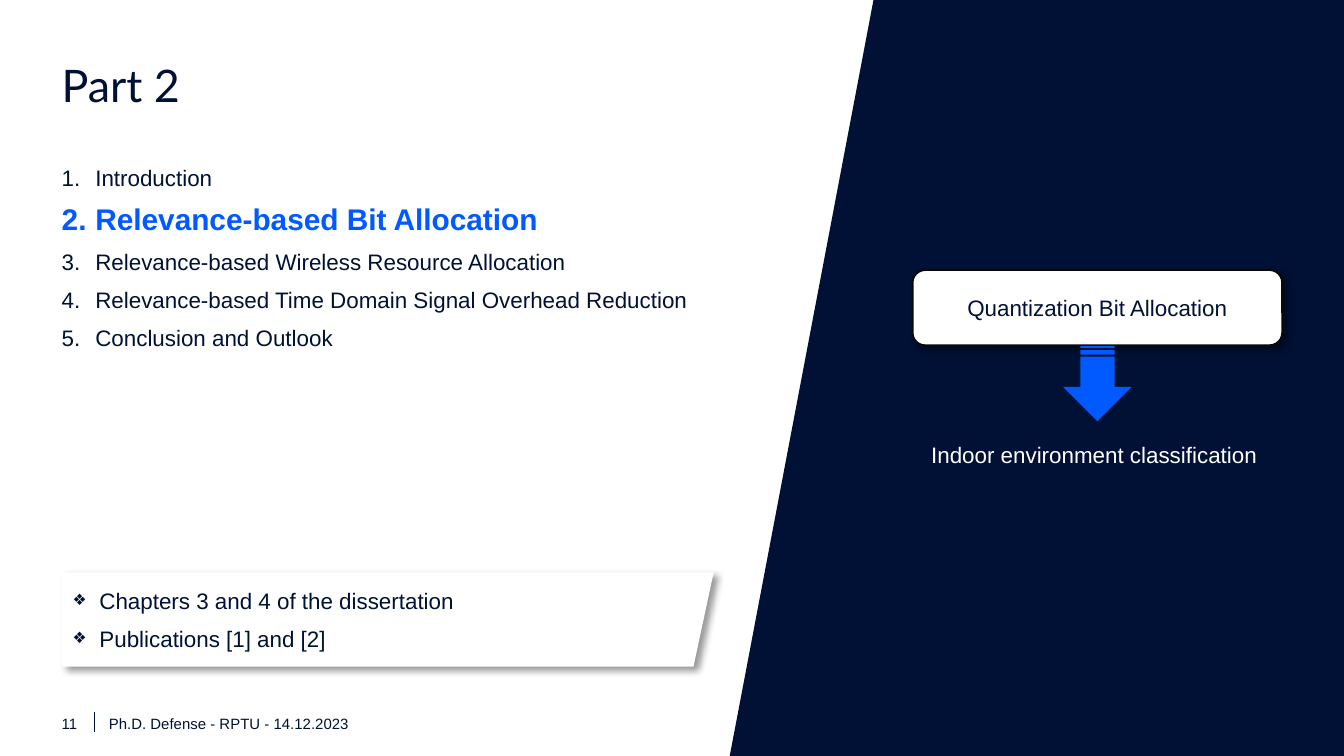
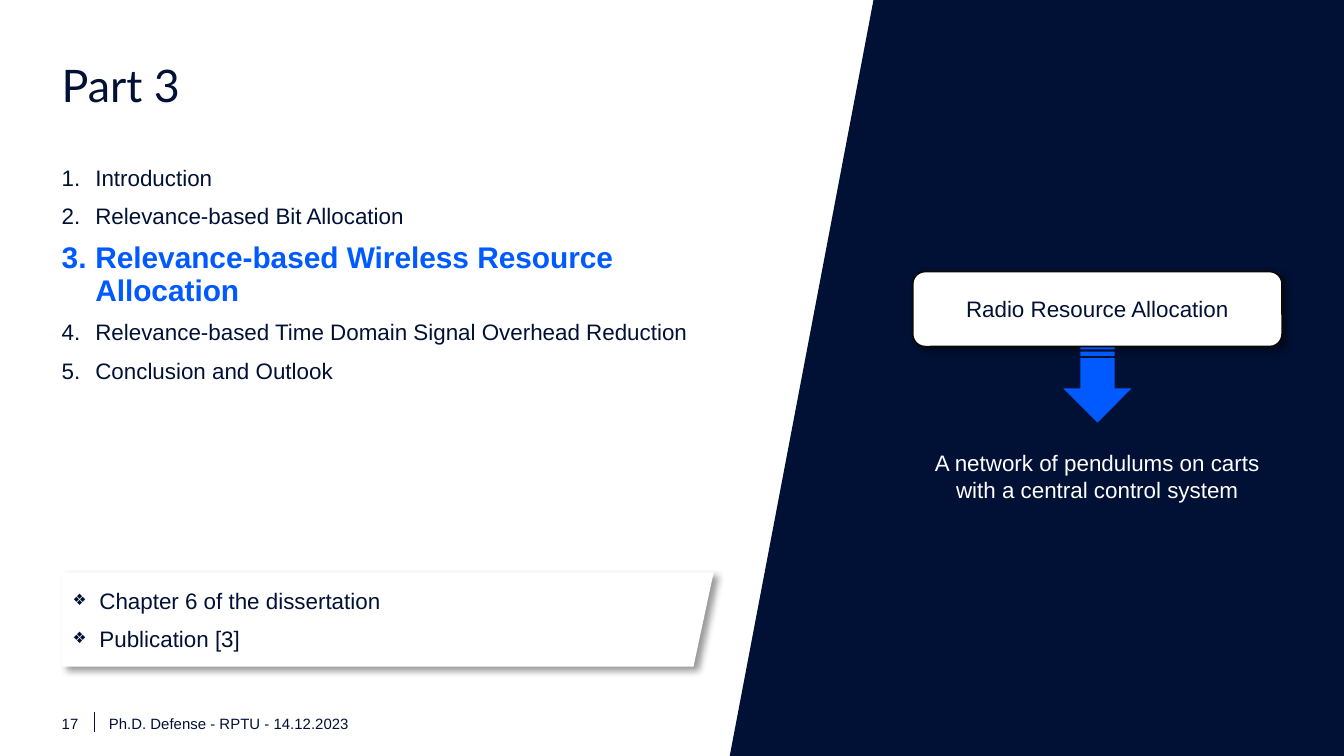
from lxml import etree
from pptx import Presentation
from pptx.dml.color import RGBColor
from pptx.enum.shapes import MSO_CONNECTOR, MSO_SHAPE
from pptx.enum.text import MSO_ANCHOR, PP_ALIGN
from pptx.oxml.ns import qn
from pptx.util import Inches, Pt

NAVY = RGBColor(0x00, 0x11, 0x35)
BLUE = RGBColor(0x00, 0x5A, 0xFF)
WHITE = RGBColor(0xFF, 0xFF, 0xFF)
OUTLINE = RGBColor(0x0A, 0x09, 0x08)
TOP, MIDDLE, BOTTOM = MSO_ANCHOR.TOP, MSO_ANCHOR.MIDDLE, MSO_ANCHOR.BOTTOM
LEFT, CENTER = PP_ALIGN.LEFT, PP_ALIGN.CENTER
ROUNDED, ARROW = MSO_SHAPE.ROUNDED_RECTANGLE, MSO_SHAPE.STRIPED_RIGHT_ARROW
STRAIGHT = MSO_CONNECTOR.STRAIGHT

FOOTER = "Ph.D. Defense - RPTU - 14.12.2023"
AGENDA = [
    "Introduction",
    "Relevance-based Bit Allocation",
    "Relevance-based Wireless Resource Allocation",
    "Relevance-based Time Domain Signal Overhead Reduction",
    "Conclusion and Outlook",
]
PARTS = [
    {"part": 2, "page": 11,
     "sources": ["Chapters 3 and 4 of the dissertation", "Publications [1] and [2]"],
     "method": "Quantization Bit Allocation", "method_top": 2.01,
     "use_case": "Indoor environment classification ", "use_case_height": 0.47},
    {"part": 3, "page": 17,
     "sources": ["Chapter 6 of the dissertation", "Publication [3]"],
     "method": "Radio Resource Allocation", "method_top": 2.02,
     "use_case": "A network of pendulums on carts with a central control system",
     "use_case_height": 0.79},
]

WIDTH = 10
HEIGHT = WIDTH * 9 / 16
MARGIN, BODY_WIDTH = 0.46, 5.07
PANEL = [(6.5, 0), (WIDTH, 0), (WIDTH, HEIGHT), (5.43, HEIGHT)]
SOURCES = [(MARGIN, 4.26), (5.31, 4.26), (5.16, 4.96), (MARGIN, 4.96)]
METHOD_LEFT, METHOD_WIDTH, METHOD_HEIGHT = 6.79, 2.75, 0.56
ARROW_WIDTH, ARROW_HEIGHT, ARROW_GAP = 0.56, 0.51, 0.03
USE_CASE_TOP = 3.15

BODY = {"size": Pt(12), "name": "Arial", "bold": False}
CURRENT = {**BODY, "size": Pt(16), "bold": True}
TITLE = {**BODY, "size": Pt(24), "name": "Lato"}
SMALL = {**BODY, "size": Pt(8)}


def add_paragraph(tf, text, font=BODY, color=NAVY, **layout):
    """Fill the empty first paragraph, or append one."""
    p = tf.paragraphs[0]
    if p.runs:
        p = tf.add_paragraph()
    for key, value in {"alignment": LEFT, **layout}.items():
        setattr(p, key, value)
    r = p.add_run()
    r.text = text
    for key, value in font.items():
        setattr(r.font, key, value)
    r.font.color.rgb = color
    return p


def set_bullet(p, indent, *marks):
    """Hang the paragraph and add bullet elements given as (tag, attributes)."""
    pPr = p._p.get_or_add_pPr()
    pPr.set("marL", str(Inches(indent)))
    pPr.set("indent", str(-Inches(indent)))
    for tag, attributes in marks:
        etree.SubElement(pPr, qn(tag), attributes)


def frame(sp, anchor=TOP, inset=0, wrap=True):
    tf = sp.text_frame
    tf.word_wrap = wrap
    tf.vertical_anchor = anchor
    for side in ("left", "top", "right", "bottom"):
        setattr(tf, f"margin_{side}", Inches(inset))
    return tf


def add_text_box(shapes, box, anchor=TOP, wrap=True):
    return frame(shapes.add_textbox(*map(Inches, box)), anchor, wrap=wrap)


def paint(sp, fill, line=None):
    sp.shadow.inherit = False
    sp.fill.solid()
    sp.fill.fore_color.rgb = fill
    if line is None:
        sp.line.fill.background()
    else:
        sp.line.color.rgb = line
        sp.line.width = Pt(1)


def add_polygon(s, points, fill):
    (x, y), *rest = [tuple(map(Inches, point)) for point in points]
    builder = s.shapes.build_freeform(x, y)
    builder.add_line_segments(rest, close=True)
    sp = builder.convert_to_shape()
    paint(sp, fill)
    return sp


def drop_shadow(sp):
    effects = sp._element.spPr.find(qn("a:effectLst"))
    shadow = etree.SubElement(effects, qn("a:outerShdw"), {
        "blurRad": str(Pt(4)), "dist": str(Pt(3)), "dir": str(45 * 60000),
        "algn": "tl", "rotWithShape": "0"})
    color = etree.SubElement(shadow, qn("a:srgbClr"), {"val": "000000"})
    etree.SubElement(color, qn("a:alpha"), {"val": "40000"})


def add_base(s, page):
    """Dark side panel and footer."""
    add_polygon(s, PANEL, NAVY)
    for text, left, width in ((str(page), MARGIN, 0.13), (FOOTER, 0.81, 3.15)):
        tf = add_text_box(s.shapes, (left, 5.32, width, 0.13), BOTTOM, wrap=False)
        add_paragraph(tf, text, SMALL)
    rule = s.shapes.add_connector(STRAIGHT, *map(Inches, (0.7, 5.3, 0.7, 5.45)))
    rule.line.color.rgb = NAVY
    rule.line.width = Pt(0.5)
    etree.SubElement(rule._element.spPr, qn("a:effectLst"))


def add_agenda(s, current):
    tf = add_text_box(s.shapes, (MARGIN, 1.24, BODY_WIDTH, 3.92))
    for number, topic in enumerate(AGENDA, 1):
        style = (CURRENT, BLUE) if number == current else (BODY, NAVY)
        p = add_paragraph(tf, topic, *style, line_spacing=0.9, space_before=Pt(7.5))
        set_bullet(p, 0.25, ("a:buFont", {"typeface": "+mj-lt"}),
                   ("a:buAutoNum", {"type": "arabicPeriod"}))


def add_sources(s, sources):
    sp = add_polygon(s, SOURCES, WHITE)
    drop_shadow(sp)
    tf = frame(sp, MIDDLE, 0.08)
    for source in sources:
        p = add_paragraph(tf, source, space_after=Pt(6))
        set_bullet(p, 0.2, ("a:buSzPct", {"val": "70000"}),
                   ("a:buFont", {"typeface": "Arial"}), ("a:buChar", {"char": "❖"}))


def add_method(s, method, top, use_case, use_case_height):
    """Method box with an arrow down to its use case."""
    shapes = s.shapes.add_group_shape().shapes
    box = (METHOD_LEFT, top, METHOD_WIDTH, METHOD_HEIGHT)
    sp = shapes.add_shape(ROUNDED, *map(Inches, box))
    paint(sp, WHITE, OUTLINE)
    drop_shadow(sp)
    add_paragraph(frame(sp, MIDDLE, 0.08), method, alignment=CENTER, space_after=Pt(3))

    arrow_left = METHOD_LEFT + (METHOD_WIDTH - ARROW_WIDTH) / 2
    arrow_top = top + METHOD_HEIGHT + ARROW_GAP
    arrow = shapes.add_shape(
        ARROW, *map(Inches, (arrow_left, arrow_top, ARROW_WIDTH, ARROW_HEIGHT)))
    arrow.rotation = 90
    paint(arrow, BLUE)

    tf = add_text_box(
        shapes, (METHOD_LEFT, USE_CASE_TOP, METHOD_WIDTH, use_case_height), MIDDLE)
    add_paragraph(tf, use_case, color=WHITE, alignment=CENTER, space_after=Pt(3))


def main():
    prs = Presentation()
    prs.slide_width, prs.slide_height = Inches(WIDTH), Inches(HEIGHT)
    for part in PARTS:
        s = prs.slides.add_slide(prs.slide_layouts[6])
        add_base(s, part["page"])
        add_agenda(s, part["part"])
        tf = add_text_box(s.shapes, (MARGIN, 0.43, BODY_WIDTH, 0.37))
        add_paragraph(tf, f"Part {part['part']}", TITLE)
        add_sources(s, part["sources"])
        add_method(s, part["method"], part["method_top"],
                   part["use_case"], part["use_case_height"])
    prs.save("out.pptx")


if __name__ == "__main__":
    main()
